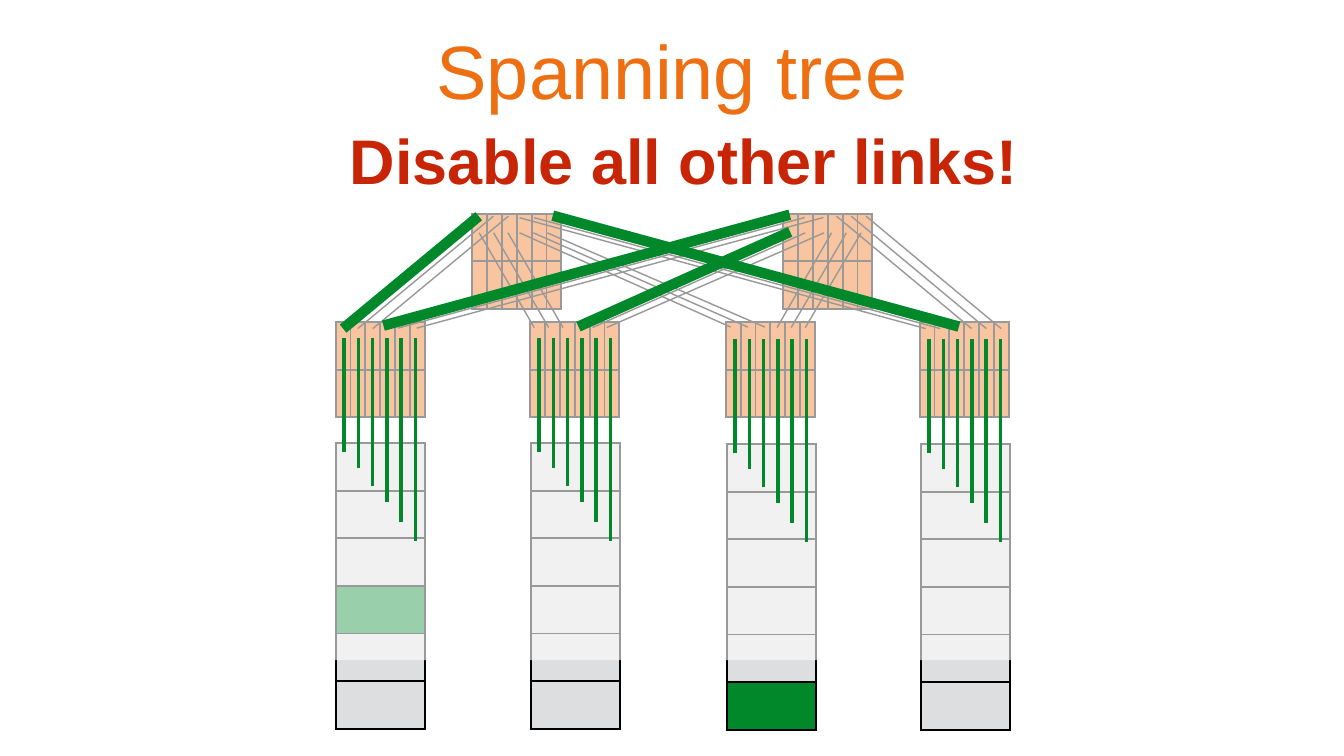
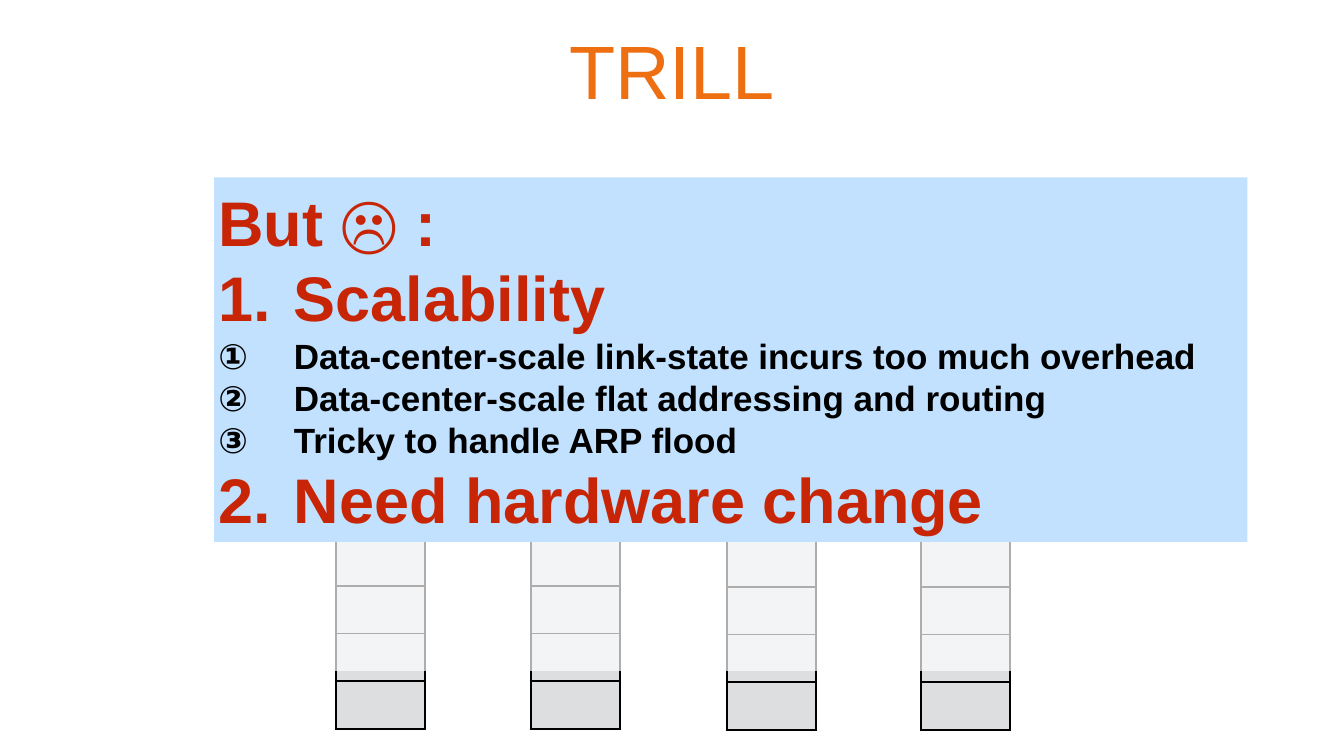
from itertools import product

from lxml.etree import SubElement
from pptx import Presentation
from pptx.dml.color import RGBColor
from pptx.enum.shapes import MSO_CONNECTOR, MSO_SHAPE
from pptx.enum.text import MSO_ANCHOR, MSO_AUTO_SIZE, PP_ALIGN
from pptx.oxml import parse_xml
from pptx.oxml.ns import nsdecls, qn
from pptx.util import Emu, Inches, Pt

rgb = RGBColor.from_string
ORANGE, GREEN, RED, SKY = "EE6E12", "00882B", "C82506", "C1E1FE"
GRAY, BLACK, WHITE = "DCDEE0", "000000", "FFFFFF"
FONT = "Arial"

prs = Presentation()
prs.slide_width, prs.slide_height = Inches(26.67), Inches(15)
COL, ROW = prs.slide_width / 100, prs.slide_height / 100


def grid(*values):
    """Turn alternating columns and rows (hundredths of the slide) into lengths."""
    return [Emu(round(v * (ROW if i % 2 else COL))) for i, v in enumerate(values)]


def line(slide, ends, color, width):
    cn = slide.shapes.add_connector(MSO_CONNECTOR.STRAIGHT, *grid(*ends))
    cn.line.color.rgb = rgb(color)
    cn.line.width = Pt(width)
    SubElement(cn._element.spPr, qn("a:effectLst"))


tree = prs.slides.add_slide(prs.slide_layouts[5])
trill = prs.slides.add_slide(prs.slide_layouts[1])

# Racks and switches: (slide, left, top, rows, columns, fill, green row)
UNIT_W, UNIT_H = 6.64, 6.3
RACKS = [(24.97, 58.6), (39.48, 58.6), (54.07, 58.73), (68.5, 58.73)]
EDGES = [(24.97, 42.6), (39.45, 42.6), (54, 42.6), (68.43, 42.6)]
CORES = [(35.13, 28.27), (58.27, 28.27)]
HOSTS = [3, None, 5, None]
tables = [(tree, *pos, 6, 1, GRAY, host) for pos, host in zip(RACKS, HOSTS)]
tables += [(tree, *pos, 2, 6, ORANGE, None) for pos in EDGES + CORES]
tables += [(trill, *pos, 6, 1, GRAY, None) for pos in RACKS]

for slide, left, top, rows, cols, fill, green_row in tables:
    place = grid(left, top, UNIT_W, rows * UNIT_H)
    tbl = slide.shapes.add_table(rows, cols, *place).table
    tbl.first_row = tbl.horz_banding = False
    for r, c in product(range(rows), range(cols)):
        cell = tbl.cell(r, c)
        cell.margin_left = cell.margin_right = 0
        tcPr = cell._tc.get_or_add_tcPr()
        for side in "LRTB":
            tcPr.append(parse_xml(
                f'<a:ln{side} {nsdecls("a")} w="{Pt(3)}"><a:solidFill>'
                f'<a:srgbClr val="{BLACK}"/></a:solidFill></a:ln{side}>'))
        cell.fill.solid()
        cell.fill.fore_color.rgb = rgb(GREEN if r == green_row else fill)

# Disabled uplinks: bundle start, end, count, step at the edge, step at the core
UPLINKS = [
    ((26.62, 43.47), (36.71, 28.6), 2, 1.12, 1.12),
    ((29.62, 43.4), (59.88, 28.77), 2, 1.39, 1.39),
    ((72.29, 43.47), (62.24, 28.6), 3, 1.1, 1.1),
    ((68.88, 43.47), (38.66, 28.8), 2, 1.09, 1.09),
    ((39.75, 43.33), (35.66, 30.8), 3, 1.07, 1.07),
    ((57.82, 43.33), (61.87, 30.8), 3, 1.05, 1.1),
    ((44.09, 43.33), (59.92, 30.8), 2, 1.05, 1.39),
    ((54.37, 43.27), (38.66, 30.8), 3, 1.27, 1.03),
]
for (x1, y1), (x2, y2), count, edge_step, core_step in UPLINKS:
    for i in range(count):
        line(tree, (x1 + i * edge_step, y1, x2 + i * core_step, y2), BLACK, 2)

# Translucent veils over both diagrams
for slide, place, opacity in [(tree, (21.71, 20.2, 56.58, 67.13), 60),
                              (trill, (21.9, 18.13, 56.28, 70.6), 68)]:
    sp = slide.shapes.add_shape(MSO_SHAPE.RECTANGLE, *grid(*place))
    sp.shadow.inherit = False
    sp.line.fill.background()
    sp.fill.solid()
    sp.fill.fore_color.rgb = rgb(WHITE)
    color = sp._element.spPr.find(qn("a:solidFill"))[0]
    SubElement(color, qn("a:alpha"), val=str(opacity * 1000))

# Active links: server cables, then the tree itself
CABLE_ENDS = [59.73, 61.87, 64.33, 66.4, 69, 71.53]
for left, top in RACKS:
    drop = top - RACKS[0][1]
    for i, end in enumerate(CABLE_ENDS):
        x = left + 0.63 + i * 1.06
        line(tree, (x, end + drop, x, 44.73 + drop), GREEN, 5)
for ends in [(25.53, 43.47, 35.62, 28.6), (28.53, 43.07, 58.76, 28.4),
             (71.35, 43.2, 41.13, 28.53), (43.04, 43.2, 58.79, 30.67)]:
    line(tree, ends, GREEN, 15)

# Text: (shape, place, wrap, alignment, paragraphs of text, bullet, level, size, bold, colour)
banner = tree.shapes.add_textbox(0, 0, 0, 0)
drawbacks = trill.placeholders[1]
trill.shapes._spTree.append(drawbacks._element)
drawbacks.fill.solid()
drawbacks.fill.fore_color.rgb = rgb(SKY)

TITLE_PLACE = (12.5, 0, 75, 18.2)
POINTS = [
    ("But ☹ :", None, 0, 90, True, RED),
    ("Scalability", "arabicPeriod", 0, 90, True, RED),
    ("Data-center-scale link-state incurs too much overhead",
     "circleNumDbPlain", 1, 50, True, BLACK),
    ("Data-center-scale flat addressing and routing",
     "circleNumDbPlain", 1, 50, True, BLACK),
    ("Tricky to handle ARP flood", "circleNumDbPlain", 1, 50, True, BLACK),
    ("Need hardware change", "arabicPeriod", 0, 90, True, RED),
]
texts = [
    (tree.shapes.title, TITLE_PLACE, True, PP_ALIGN.CENTER,
     [("Spanning tree", None, 0, 108, False, ORANGE)]),
    (trill.shapes.title, TITLE_PLACE, True, PP_ALIGN.CENTER,
     [("TRILL", None, 0, 108, False, ORANGE)]),
    (banner, (25.72, 15.53, 50.39, 11.07), False, PP_ALIGN.CENTER,
     [("Disable all other links!", None, 0, 90, True, RED)]),
    (drawbacks, (15.94, 23.47, 76.87, 48.2), True, PP_ALIGN.LEFT, POINTS),
]
for sp, place, wrap, align, paragraphs in texts:
    sp.left, sp.top, sp.width, sp.height = grid(*place)
    tf = sp.text_frame
    tf.auto_size = MSO_AUTO_SIZE.NONE
    tf.word_wrap = wrap
    tf.vertical_anchor = MSO_ANCHOR.MIDDLE
    tf.margin_left = tf.margin_right = Inches(0.08)
    tf.margin_top = tf.margin_bottom = Inches(0.08)
    for i, (text, bullet, level, size, bold, color) in enumerate(paragraphs):
        p = tf.add_paragraph() if i else tf.paragraphs[0]
        p.alignment = align
        p.level = level
        p.space_before = Pt(0)
        indent = Inches(1.5) if bullet else 0
        pPr = p._p.get_or_add_pPr()
        pPr.set("marL", str(indent))
        pPr.set("indent", str(-indent))
        if bullet:
            SubElement(pPr, qn("a:buFont"), typeface="+mj-lt")
            SubElement(pPr, qn("a:buAutoNum"), type=bullet)
        else:
            SubElement(pPr, qn("a:buNone"))
        r = p.add_run()
        r.text = text
        r.font.name, r.font.size, r.font.bold = FONT, Pt(size), bold
        r.font.color.rgb = rgb(color)

prs.save("out.pptx")
